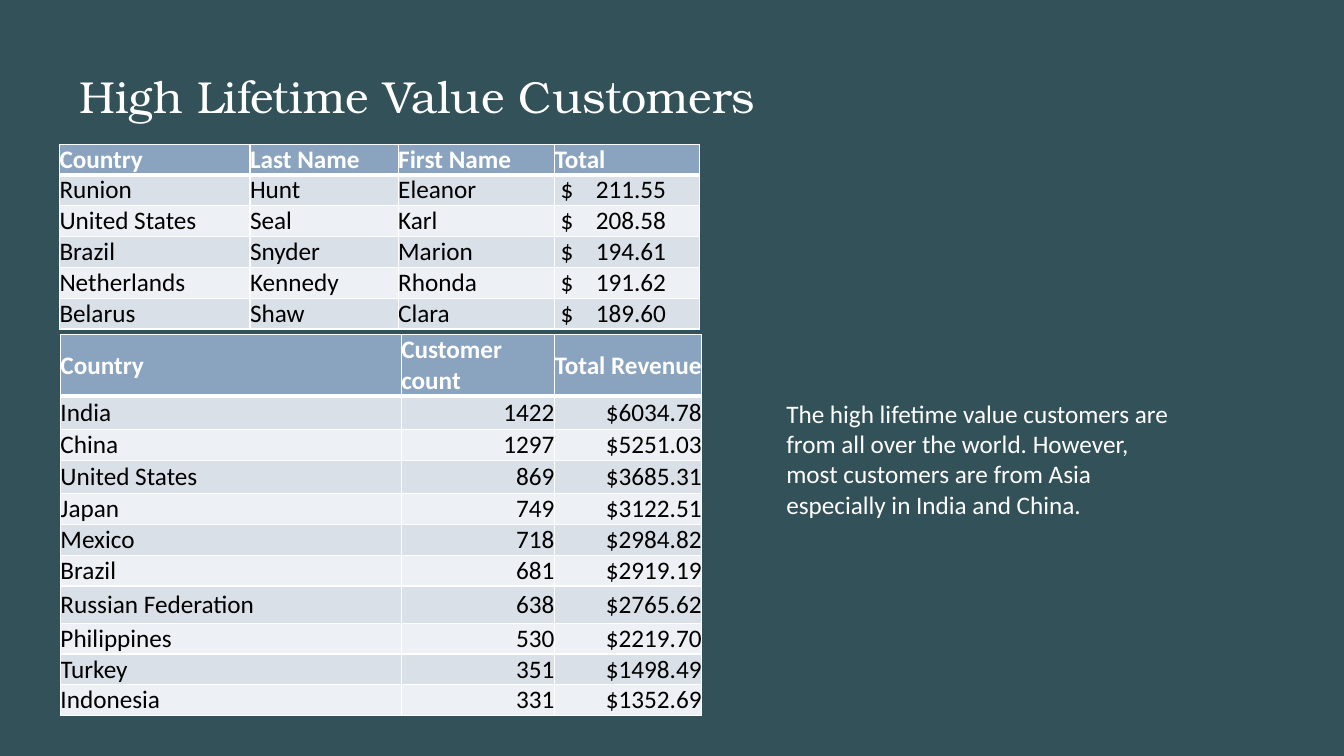
from dataclasses import dataclass

import pptx
import pptx.dml.color
import pptx.enum.text
import pptx.util
from lxml import etree
from pptx.oxml.ns import qn

Inches = pptx.util.Inches
Align = pptx.enum.text.PP_ALIGN
Anchor = pptx.enum.text.MSO_ANCHOR

WHITE, BLACK = "FFFFFF", "000000"
BACKGROUND, HEADER = "325158", "8AA4C0"
BANDS = ("DAE0E8", "EDF0F4")
AMOUNT_INDENT, AMOUNT_TAB = 0.06, 0.35


@dataclass
class TableSpec:
    left: float
    top: float
    widths: list[float]
    heights: list[float]
    rows: list[tuple[str, ...]]
    right_columns: tuple[int, ...] = ()


TABLES = [
    TableSpec(0.59, 1.43, [1.89, 1.47, 1.55, 1.44], [0.3] * 6, [
        ("Country", "Last Name", "First Name", "Total"),
        ("Runion", "Hunt", "Eleanor", "$\t211.55"),
        ("United States", "Seal", "Karl", "$\t208.58"),
        ("Brazil", "Snyder", "Marion", "$\t194.61"),
        ("Netherlands", "Kennedy", "Rhonda", "$\t191.62"),
        ("Belarus", "Shaw", "Clara", "$\t189.60"),
    ]),
    TableSpec(0.6, 3.32, [3.38, 1.52, 1.46],
              [0.59, 0.33, 0.3, 0.33, 0.3, 0.3, 0.3, 0.37, 0.3, 0.3, 0.3], [
        ("Country", "Customer\ncount", "Total Revenue"),
        ("India", "1422", "$6034.78"),
        ("China", "1297", "$5251.03"),
        ("United States", "869", "$3685.31"),
        ("Japan", "749", "$3122.51"),
        ("Mexico", "718", "$2984.82"),
        ("Brazil", "681", "$2919.19"),
        ("Russian Federation", "638", "$2765.62"),
        ("Philippines", "530", "$2219.70"),
        ("Turkey", "351", "$1498.49"),
        ("Indonesia", "331", "$1352.69"),
    ], right_columns=(1, 2)),
]


def rgb(color: str) -> pptx.dml.color.RGBColor:
    return pptx.dml.color.RGBColor.from_string(color)


def fill_solid(fill, color: str) -> None:
    fill.solid()
    fill.fore_color.rgb = rgb(color)


def write(tf, text: str, color: str, size: int = 18, font: str = "Calibri",
          bold: bool = False, align=Align.LEFT) -> None:
    tf.text = text
    font_format = {"size": pptx.util.Pt(size), "name": font, "bold": bold}
    for p in tf.paragraphs:
        p.alignment = align
        for r in p.runs:
            for name, value in font_format.items():
                setattr(r.font, name, value)
            r.font.color.rgb = rgb(color)


def clear_margins(target) -> None:
    for side in ("left", "top", "right", "bottom"):
        setattr(target, f"margin_{side}", 0)


def add_borders(cell, row: int) -> None:
    """Draw white cell borders, thick between header and body."""
    tc_pr = cell._tc.get_or_add_tcPr()
    thick = {0: "B", 1: "T"}.get(row)
    for side in "LRTB":
        width = pptx.util.Pt(3 if side == thick else 1)
        ln = etree.SubElement(tc_pr, qn(f"a:ln{side}"), w=str(width))
        solid = etree.SubElement(ln, qn("a:solidFill"))
        etree.SubElement(solid, qn("a:srgbClr"), val=WHITE)


def add_tab_stop(p, position: float) -> None:
    tabs = etree.SubElement(p._p.get_or_add_pPr(), qn("a:tabLst"))
    etree.SubElement(tabs, qn("a:tab"), pos=str(Inches(position)), algn="l")


def add_data_table(s, spec: TableSpec) -> None:
    table = s.shapes.add_table(
        len(spec.rows), len(spec.widths), Inches(spec.left), Inches(spec.top),
        Inches(sum(spec.widths)), Inches(sum(spec.heights))).table
    for column, width in zip(table.columns, spec.widths):
        column.width = Inches(width)
    for row, height in zip(table.rows, spec.heights):
        row.height = Inches(height)
    for i, values in enumerate(spec.rows):
        for j, value in enumerate(values):
            cell = table.cell(i, j)
            clear_margins(cell)
            cell.vertical_anchor = Anchor.MIDDLE
            add_borders(cell, i)
            fill_solid(cell.fill, BANDS[(i - 1) % 2] if i else HEADER)
            align = Align.RIGHT if i and j in spec.right_columns else Align.LEFT
            write(cell.text_frame, value, BLACK if i else WHITE,
                  bold=i == 0, align=align)
            if "\t" in value:
                cell.margin_left = Inches(AMOUNT_INDENT)
                add_tab_stop(cell.text_frame.paragraphs[0], AMOUNT_TAB)


def add_title(s, text: str) -> None:
    sp = s.shapes.title
    sp.left, sp.top = Inches(0.79), Inches(0.68)
    sp.width, sp.height = Inches(11.73), Inches(1.62)
    tf = sp.text_frame
    clear_margins(tf)
    tf.vertical_anchor = Anchor.TOP
    write(tf, text, WHITE, size=32, font="TeX Gyre Bonum")


def add_comment(s, text: str) -> None:
    sp = s.shapes.add_textbox(Inches(7.7), Inches(3.9), Inches(4.09), Inches(1.62))
    tf = sp.text_frame
    tf.word_wrap = True
    tf.auto_size = pptx.enum.text.MSO_AUTO_SIZE.SHAPE_TO_FIT_TEXT
    write(tf, text, WHITE)


def main() -> None:
    prs = pptx.Presentation()
    prs.slide_width, prs.slide_height = Inches(13.33), Inches(7.5)
    s = prs.slides.add_slide(prs.slide_layouts.get_by_name("Title Only"))
    fill_solid(s.background.fill, BACKGROUND)
    add_title(s, "High Lifetime Value Customers")
    for spec in TABLES:
        add_data_table(s, spec)
    add_comment(s, "The high lifetime value customers are from all over the world. "
                   "However, most customers are from Asia especially in India and China.")
    prs.save("out.pptx")


if __name__ == "__main__":
    main()
